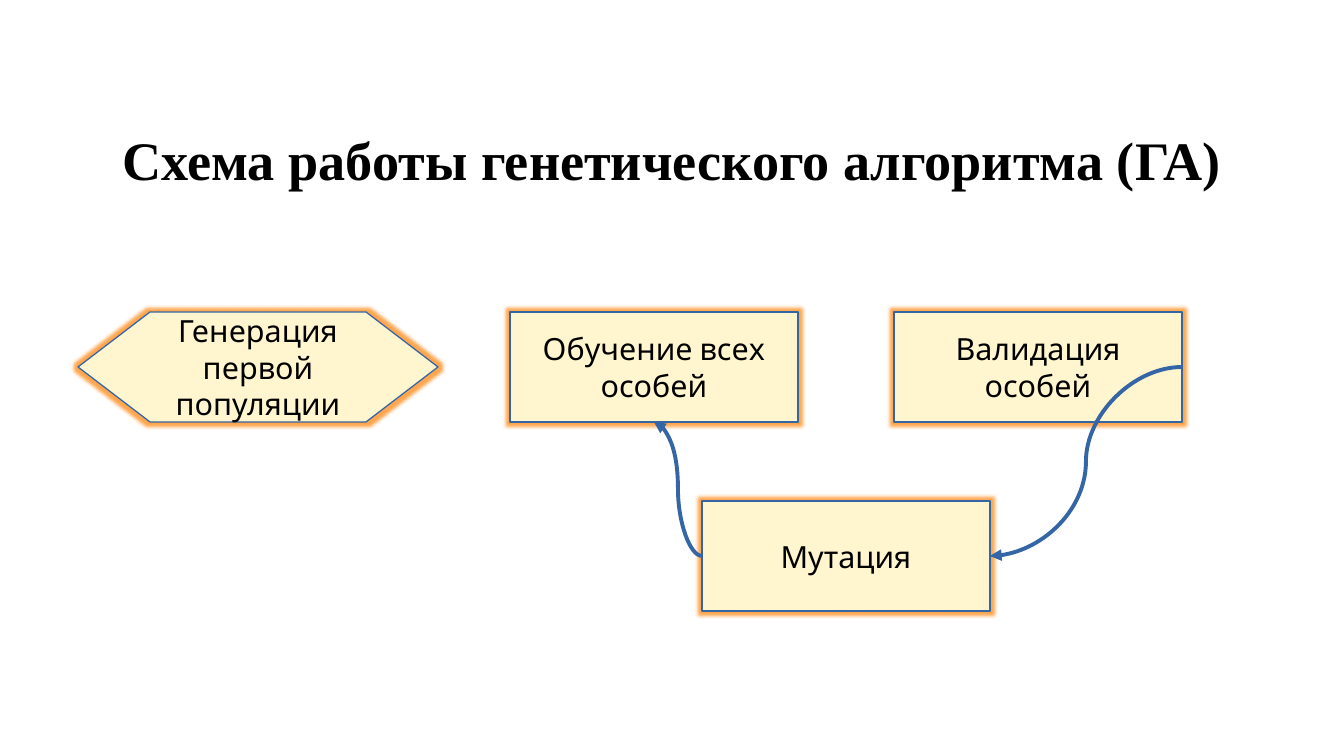
"""Build a slide with the flow scheme of a genetic algorithm."""
import lxml.etree as etree
import pptx
import pptx.util
from pptx.dml.color import RGBColor
from pptx.enum.shapes import MSO_CONNECTOR, MSO_SHAPE
from pptx.enum.text import MSO_ANCHOR, PP_ALIGN
from pptx.oxml.ns import qn

PX = 914400 / 122
SLIDE = (1344, 756)
TITLE = ("Схема работы генетического алгоритма (ГА)", (67, 96, 1210, 126))
TOP, LOW = 312, 501
BOX_W, PREP_W, BOX_H = 288, 360, 110
STEPS = {
    "train": ("Обучение всех особей", MSO_SHAPE.FLOWCHART_PROCESS, 510, TOP, BOX_W),
    "start": ("Генерация первой популяции", MSO_SHAPE.FLOWCHART_PREPARATION, 78, TOP, PREP_W),
    "validate": ("Валидация особей", MSO_SHAPE.FLOWCHART_PROCESS, 894, TOP, BOX_W),
    "mutate": ("Мутация", MSO_SHAPE.FLOWCHART_PROCESS, 702, LOW, BOX_W),
}
ARROWS = [("validate", "right", "mutate", "right"), ("mutate", "left", "train", "bottom")]
SIDES = {"left": (0, 0.5), "right": (1, 0.5), "bottom": (0.5, 1)}
THEME = {
    "title": ("Times New Roman", 32, True),
    "step": ("Cabin", 18, False),
    "text": "000000",
    "fill": "FFF5CE",
    "line": "3465A4",
    "glow": "FF8000",
    "glow_px": 7,
    "arrow_pt": 2.3,
}


def emu(px):
    return pptx.util.Emu(round(px * PX))


def color(name):
    return RGBColor.from_string(THEME[name])


def write(shape, text, style, inset):
    tf = shape.text_frame
    tf.text = text
    tf.word_wrap = True
    tf.vertical_anchor = MSO_ANCHOR.MIDDLE
    tf.margin_left = tf.margin_right = emu(inset * 2)
    tf.margin_top = tf.margin_bottom = emu(inset)
    p = tf.paragraphs[0]
    p.alignment = PP_ALIGN.CENTER
    font = p.runs[0].font
    font.name, size, font.bold = THEME[style]
    font.size = pptx.util.Pt(size)
    font.color.rgb = color("text")


def add_step(s, text, kind, x, y, w):
    sp = s.shapes.add_shape(kind, *map(emu, (x, y, w, BOX_H)))
    sp.fill.solid()
    sp.fill.fore_color.rgb = color("fill")
    sp.line.color.rgb = color("line")
    sp.line.width = pptx.util.Pt(0)
    sp.shadow.inherit = False
    effects = sp._element.spPr.find(qn("a:effectLst"))
    glow = etree.SubElement(effects, qn("a:glow"), rad=str(emu(THEME["glow_px"])))
    tint = etree.SubElement(glow, qn("a:srgbClr"), val=THEME["glow"])
    etree.SubElement(tint, qn("a:alpha"), val="70000")
    write(sp, text, "step", 6)


def anchor(step, side):
    x, y, w = STEPS[step][2:]
    fx, fy = SIDES[side]
    return emu(x + w * fx), emu(y + BOX_H * fy)


def add_arrow(s, source, out_side, target, in_side):
    start, end = anchor(source, out_side), anchor(target, in_side)
    cx = s.shapes.add_connector(MSO_CONNECTOR.CURVE, *start, *end)
    cx.line.color.rgb = color("line")
    cx.line.width = pptx.util.Pt(THEME["arrow_pt"])
    props = cx._element.spPr
    etree.SubElement(props.find(qn("a:ln")), qn("a:tailEnd"), type="triangle")
    etree.SubElement(props, qn("a:effectLst"))


def main():
    prs = pptx.Presentation()
    prs.slide_width, prs.slide_height = map(emu, SLIDE)
    s = prs.slides.add_slide(prs.slide_layouts[6])
    text, place = TITLE
    write(s.shapes.add_textbox(*map(emu, place)), text, "title", 0)
    for step in STEPS.values():
        add_step(s, *step)
    for arrow in ARROWS:
        add_arrow(s, *arrow)
    prs.save("out.pptx")


if __name__ == "__main__":
    main()
